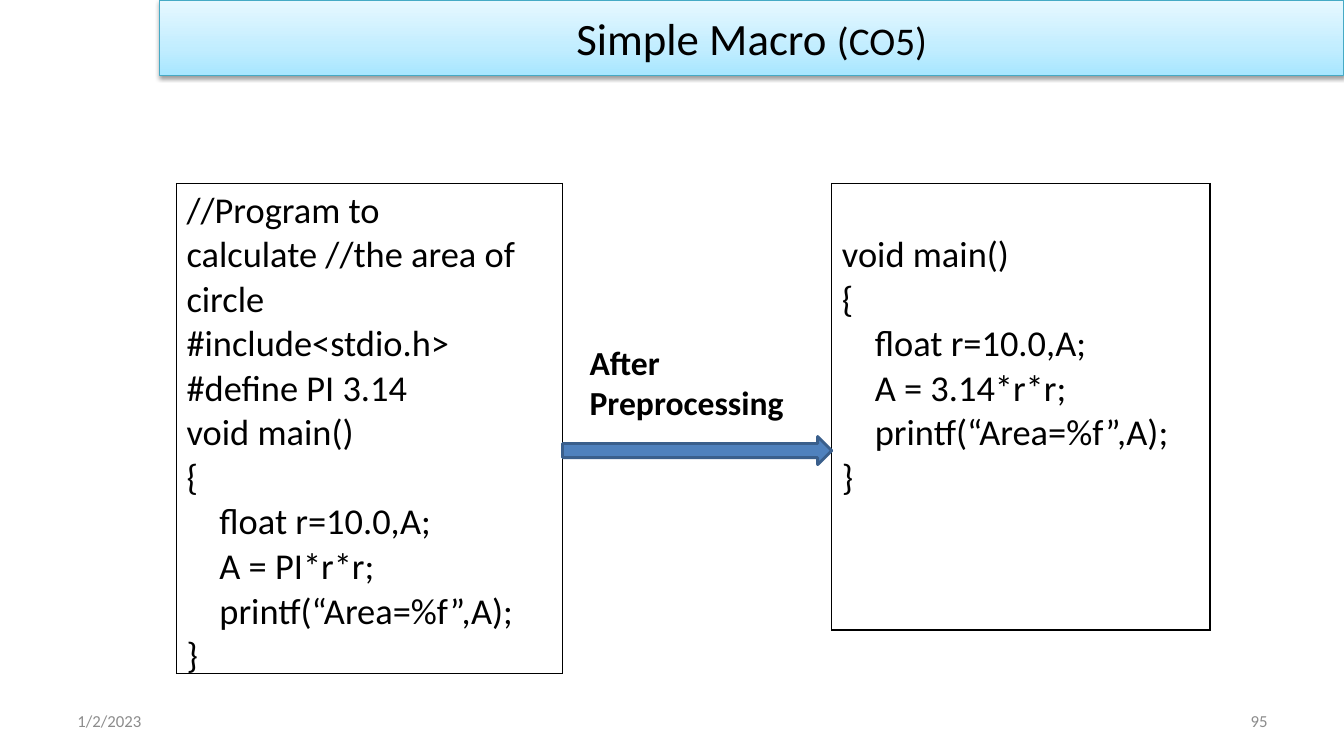
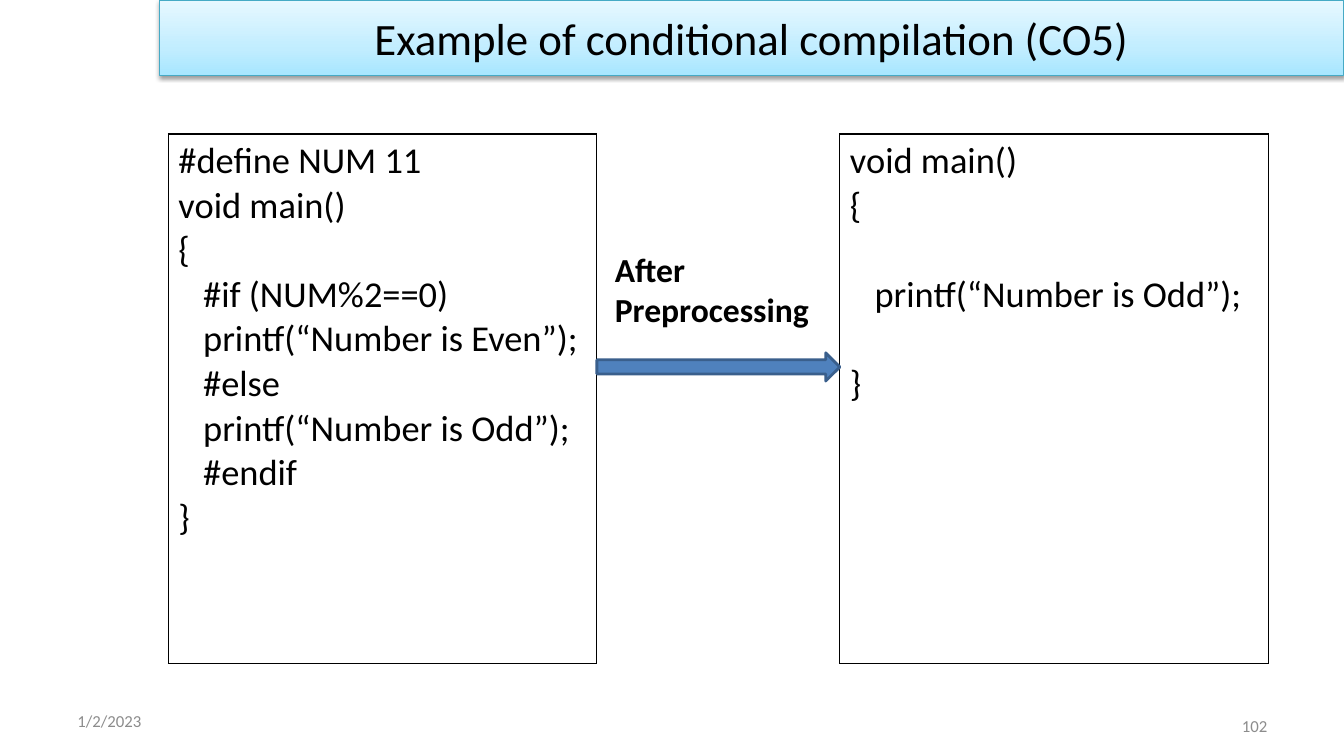
from pptx import Presentation
from pptx.dml.color import RGBColor
from pptx.enum import shapes, text
from pptx.oxml import parse_xml
from pptx.oxml.ns import nsdecls
from pptx.util import Inches, Pt

COLORS = {
    "ink": "000000",
    "footer": "8C8C8C",
    "band_line": "46AAC5",
    "arrow": "4F81BD",
    "arrow_line": "3A5F8C",
}
BAND_STOPS = [(0, "A7E6FF"), (35, "C1EDFF"), (100, "E7F8FF")]
FONT = "Calibri"
DATE = "1/2/2023"
CODE_SIZE = 26
CODE_LINE = CODE_SIZE * 1.22  # height of one code line, in points

MACRO_SOURCE = """//Program to calculate //the area of circle
#include<stdio.h>
#define PI 3.14
void main()
{
    float r=10.0,A;
    A = PI*r*r;
    printf(“Area=%f”,A);
}"""
MACRO_RESULT = """
void main()
{
    float r=10.0,A;
    A = 3.14*r*r;
    printf(“Area=%f”,A);
}"""
CONDITION_SOURCE = """#define NUM 11
void main()
{
   #if (NUM%2==0)
   printf(“Number is Even”);
   #else
   printf(“Number is Odd”);
   #endif
}"""
CONDITION_RESULT = """void main()
{

   printf(“Number is Odd”);

}"""


def rgb(name):
    return RGBColor.from_string(COLORS[name])


def inches(box):
    return [Inches(value) for value in box]


def add_span(para, words, size=18, color="ink", bold=False):
    span = para.add_run()
    span.text = words
    span.font.name = FONT
    span.font.size = Pt(size)
    span.font.bold = bold
    span.font.color.rgb = rgb(color)


def write(frame, lines, align=text.PP_ALIGN.LEFT, **style):
    """Write one paragraph per line; a blank line becomes space above the next."""
    para, gap = None, 0
    for line in lines:
        if not line.strip():
            gap += CODE_LINE
            continue
        if para is None:
            para = frame.paragraphs[0]
        else:
            para = frame.add_paragraph()
            para.space_before = Pt(gap)
        para.alignment = align
        add_span(para, line, **style)
        gap = 0


def add_label(page, box, lines, anchor=text.MSO_ANCHOR.TOP, **style):
    frame = page.shapes.add_textbox(*inches(box)).text_frame
    frame.word_wrap = True
    frame.vertical_anchor = anchor
    write(frame, lines, **style)


# Title band
def add_title(page, box, spans):
    title = page.shapes.title
    title.left, title.top, title.width, title.height = inches(box)
    stops = "".join(
        f'<a:gs pos="{pos * 1000}"><a:srgbClr val="{color}"/></a:gs>'
        for pos, color in BAND_STOPS)
    properties = title._element.spPr
    properties.append(parse_xml(
        f'<a:gradFill {nsdecls("a")} rotWithShape="1"><a:gsLst>{stops}</a:gsLst>'
        '<a:lin ang="16200000" scaled="0"/></a:gradFill>'))
    title.line.color.rgb = rgb("band_line")
    title.line.width = Pt(0.75)
    properties.append(parse_xml(
        f'<a:effectLst {nsdecls("a")}><a:outerShdw blurRad="40000" dist="20000" '
        'dir="5400000" rotWithShape="0"><a:srgbClr val="000000">'
        '<a:alpha val="38000"/></a:srgbClr></a:outerShdw></a:effectLst>'))
    frame = title.text_frame
    frame.auto_size = text.MSO_AUTO_SIZE.NONE
    frame.vertical_anchor = text.MSO_ANCHOR.MIDDLE
    para = frame.paragraphs[0]
    para.alignment = text.PP_ALIGN.CENTER
    for words, size in spans:
        add_span(para, words, size=size)


# Date and page number
def add_footer(page, number, number_top):
    style = dict(anchor=text.MSO_ANCHOR.MIDDLE, size=12, color="footer")
    add_label(page, (0.67, 6.95, 3.11, 0.4), [DATE], **style)
    add_label(page, (9.56, number_top, 3.11, 0.4), [number],
              align=text.PP_ALIGN.RIGHT, **style)


# Bordered one-cell table with code
def add_code(page, box, code):
    table = page.shapes.add_table(1, 1, *inches(box)).table
    table.first_row = table.horz_banding = False
    cell = table.cell(0, 0)
    lines = code.split("\n")
    if not lines[0]:
        cell.margin_top = Inches(0.05) + Pt(CODE_LINE)
        lines = lines[1:]
    write(cell.text_frame, lines, size=CODE_SIZE)
    cell.fill.background()
    borders = cell._tc.get_or_add_tcPr()
    for index, side in enumerate("LRTB"):
        borders.insert(index, parse_xml(
            f'<a:ln{side} {nsdecls("a")} w="12700"><a:solidFill>'
            f'<a:srgbClr val="{COLORS["ink"]}"/></a:solidFill></a:ln{side}>'))


# Arrow spanning the gap between the code boxes, with its label above
def add_step(page, arrow_box, label_box):
    arrow = page.shapes.add_shape(
        shapes.MSO_SHAPE.RIGHT_ARROW, *inches(arrow_box))
    arrow.shadow.inherit = False
    arrow.fill.solid()
    arrow.fill.fore_color.rgb = rgb("arrow")
    arrow.line.color.rgb = rgb("arrow_line")
    arrow.line.width = Pt(2)
    add_label(page, label_box, ["After", "Preprocessing"], size=24, bold=True)


def add_comparison(deck, title, number, before, after, arrow_top, label_box,
                   number_top=6.95):
    """Build a slide; before and after are (box, code) pairs."""
    page = deck.slides.add_slide(deck.slide_layouts.get_by_name("Title Only"))
    add_footer(page, number, number_top)
    add_title(page, (1.58, 0, 11.75, 0.75), title)
    for box, code in (before, after):
        add_code(page, box, code)
    start = before[0][0] + before[0][2]
    add_step(page, (start, arrow_top, after[0][0] - start, 0.28), label_box)


def main():
    deck = Presentation()
    deck.slide_width, deck.slide_height = Inches(13.33), Inches(7.5)
    add_comparison(
        deck, [("Simple Macro ", 32), ("(CO5)", 28)], "95",
        before=((1.75, 1.82, 3.83, 4.43), MACRO_SOURCE),
        after=((8.25, 1.82, 3.75, 4.43), MACRO_RESULT),
        arrow_top=4.33, label_box=(5.75, 3.34, 2.33, 0.91))
    add_comparison(
        deck, [("Example of conditional compilation (CO5)", 32)], "102",
        before=((1.67, 1.33, 4.25, 5.25), CONDITION_SOURCE),
        after=((8.33, 1.33, 4.25, 5.25), CONDITION_RESULT),
        arrow_top=3.5, label_box=(6, 2.42, 2.17, 0.91), number_top=7)
    deck.save("out.pptx")


if __name__ == "__main__":
    main()
